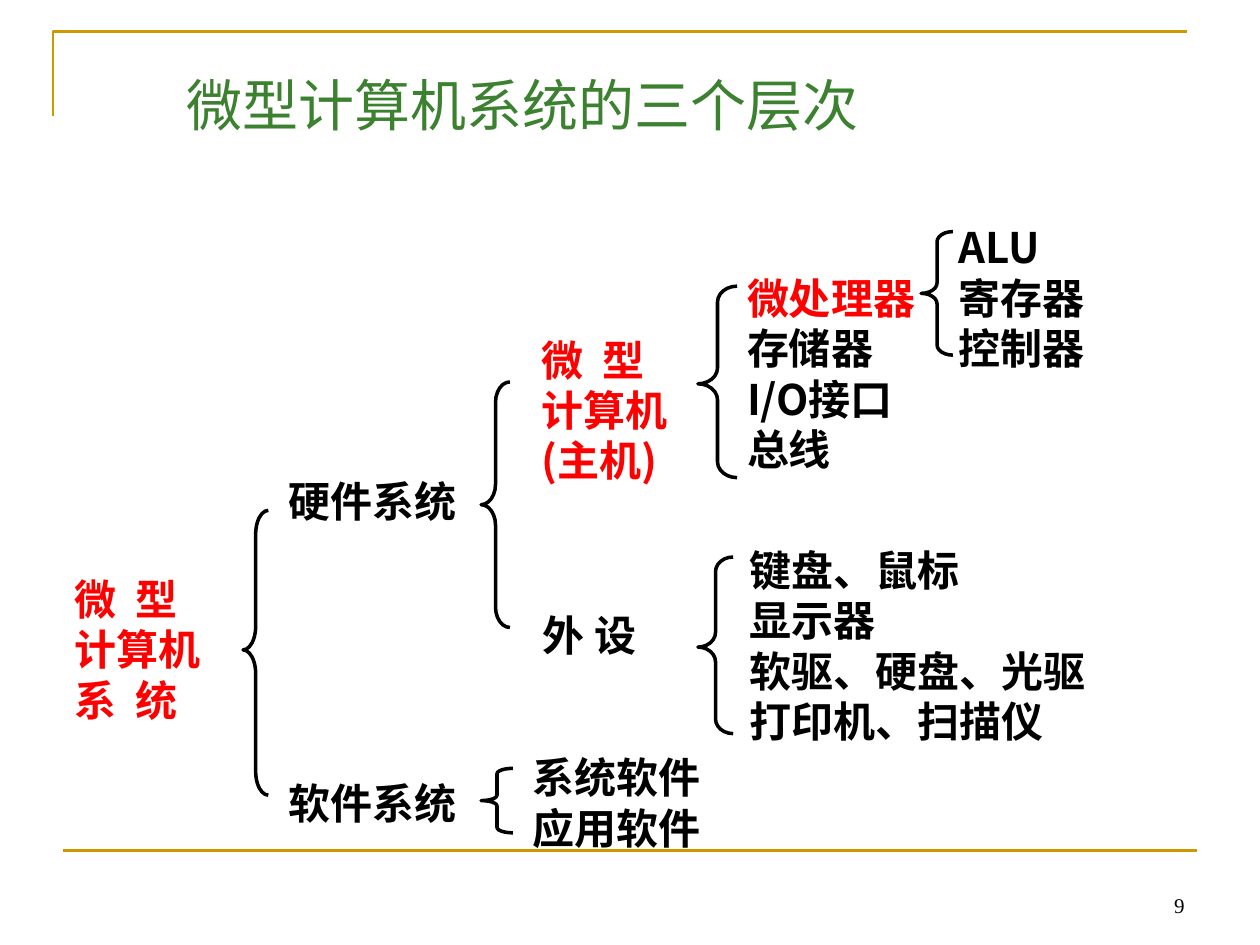
from dataclasses import dataclass
from typing import NamedTuple

from lxml.etree import SubElement
from pptx import Presentation
from pptx.dml.color import RGBColor as Rgb
from pptx.enum.shapes import MSO_CONNECTOR as Connector, MSO_SHAPE as Shape
from pptx.enum.text import MSO_ANCHOR as Anchor, PP_ALIGN as Align
from pptx.oxml.ns import qn
from pptx.util import Cm, Pt


@dataclass(frozen=True)
class Theme:
    """Colours, fonts and sizes of the slide."""
    gold: Rgb = Rgb(0xCC, 0x99, 0x00)
    green: Rgb = Rgb(0x3B, 0x81, 0x2F)
    red: Rgb = Rgb(0xFF, 0x00, 0x00)
    black: Rgb = Rgb(0x00, 0x00, 0x00)
    han: str = "Noto Sans CJK SC"
    heading: str = "Roboto"
    number: str = "Times New Roman"
    title_size: float = 32
    label_size: float = 24
    number_size: float = 12
    leading: float = 1.2
    rule: float = 1.5
    stroke: float = 2


class Box(NamedTuple):
    """A rectangle in centimetres."""
    left: float
    top: float
    width: float
    height: float

    def inner(self, left, top, width, height):
        """Return a box placed relative to this one."""
        return Box(self.left + left, self.top + top, width, height)

    def lengths(self):
        """Return the four lengths for python-pptx."""
        return [Cm(value) for value in self]


THEME = Theme()


def add_text(slide, box, lines, *, size=THEME.label_size, font=THEME.han,
             color=THEME.black, lead_color=None, bold=False, tracking=0,
             align=Align.LEFT, anchor=Anchor.TOP, inset=0.25):
    """Write one paragraph per line; tracking widens lines that hold a space."""
    frame = slide.shapes.add_textbox(*box.lengths()).text_frame
    frame.word_wrap = True
    frame.vertical_anchor = anchor
    frame.margin_left = frame.margin_right = Cm(inset)
    frame.margin_top = frame.margin_bottom = Cm(inset / 2)
    for index, line in enumerate(lines):
        paragraph = frame.paragraphs[0] if index == 0 else frame.add_paragraph()
        paragraph.alignment = align
        paragraph.line_spacing = Pt(size * THEME.leading)
        run = paragraph.add_run()
        run.text = line
        run.font.size = Pt(size)
        run.font.name = font
        run.font.bold = bold
        run.font.color.rgb = lead_color if lead_color and index == 0 else color
        properties = run.font._element
        SubElement(properties, qn("a:ea")).set("typeface", THEME.han)
        if tracking and " " in line:
            properties.set("spc", str(round(tracking * 100)))


def add_brace(slide, box, point=0.5):
    """Draw a left brace whose tip sits at the given share of its height."""
    brace = slide.shapes.add_shape(Shape.LEFT_BRACE, *box.lengths())
    brace.adjustments[0] = box.height / 12 / min(box.width, box.height)
    brace.adjustments[1] = point
    brace.shadow.inherit = False
    brace.fill.background()
    brace.line.color.rgb = THEME.black
    brace.line.width = Pt(THEME.stroke)


def draw_frame(slide, box):
    """Draw the corner rule at the top and the line at the foot."""
    left, top, width, height = box
    builder = slide.shapes.build_freeform(Cm(left), Cm(top + 1.7))
    builder.add_line_segments(
        [(Cm(left), Cm(top)), (Cm(left + width), Cm(top))], close=False)
    corner = builder.convert_to_shape()
    corner.shadow.inherit = False
    corner.fill.background()
    foot = slide.shapes.add_connector(
        Connector.STRAIGHT, Cm(left + 0.2), Cm(top + height),
        Cm(left + 0.2 + width), Cm(top + height))
    SubElement(foot._element.spPr, qn("a:effectLst"))
    for rule in (corner, foot):
        rule.line.color.rgb = THEME.gold
        rule.line.width = Pt(THEME.rule)


def draw_title(slide, box):
    """Write the slide title."""
    add_text(slide, box, ["微型计算机系统的三个层次"], size=THEME.title_size,
             font=THEME.heading, color=THEME.green, anchor=Anchor.BOTTOM)


def draw_tree(slide, box):
    """Lay out the levels of the system from left to right."""
    def label(place, *lines, **style):
        add_text(slide, box.inner(*place), lines, bold=True,
                 align=Align.JUSTIFY, **style)

    def brace(place, point=0.5):
        add_brace(slide, box.inner(*place), point)

    spread = {"color": THEME.red, "tracking": 2.8}

    label((0, 7.29, 3.1, 3), "微 型", "计算机", "系 统", inset=0, **spread)
    brace((3.4, 6.02, 0.51, 5.74), 0.49)
    for top, part in ((5.31, "硬件系统"), (11.41, "软件系统")):
        label((4.32, top, 3.61, 1.02), part, inset=0)

    brace((8.2, 3.43, 0.58, 4.95))
    label((9.17, 2.34, 3.66, 3.3), "微 型", "计算机", "(主机)", **spread)
    label((9.19, 7.9, 2.9, 1.24), "外 设")
    brace((8.2, 11.22, 0.64, 1.3))
    label((8.99, 10.76, 4.8, 2.3), "系统软件", "应用软件")

    brace((12.57, 1.5, 0.79, 3.86), 0.51)
    label((13.56, 1.22, 3.81, 4.19), "微处理器", "存储器", "I/O接口", "总线",
          lead_color=THEME.red, inset=0)
    brace((12.57, 6.96, 0.71, 3.56), 0.51)
    label((13.36, 6.58, 7.7, 4.32),
          "键盘、鼠标", "显示器", "软驱、硬盘、光驱", "打印机、扫描仪")

    brace((17.07, 0.4, 0.64, 2.49))
    label((17.58, 0.08, 4.78, 3.43), "ALU", "寄存器", "控制器")


def draw_number(slide, box):
    """Write the page number."""
    add_text(slide, box, ["9"], size=THEME.number_size, font=THEME.number,
             align=Align.RIGHT, anchor=Anchor.BOTTOM)


def main():
    """Build the slide and save it."""
    deck = Presentation()
    deck.slide_width, deck.slide_height = Cm(25.4), Cm(19.05)
    slide = deck.slides.add_slide(deck.slide_layouts[6])
    draw_frame(slide, Box(1.07, 0.64, 22.86, 16.51))
    draw_title(slide, Box(3.51, 1.22, 18.19, 1.68))
    draw_tree(slide, Box(1.5, 4.27, 22.4, 13.2))
    draw_number(slide, Box(18.21, 17.35, 5.92, 1.27))
    deck.save("out.pptx")


if __name__ == "__main__":
    main()
